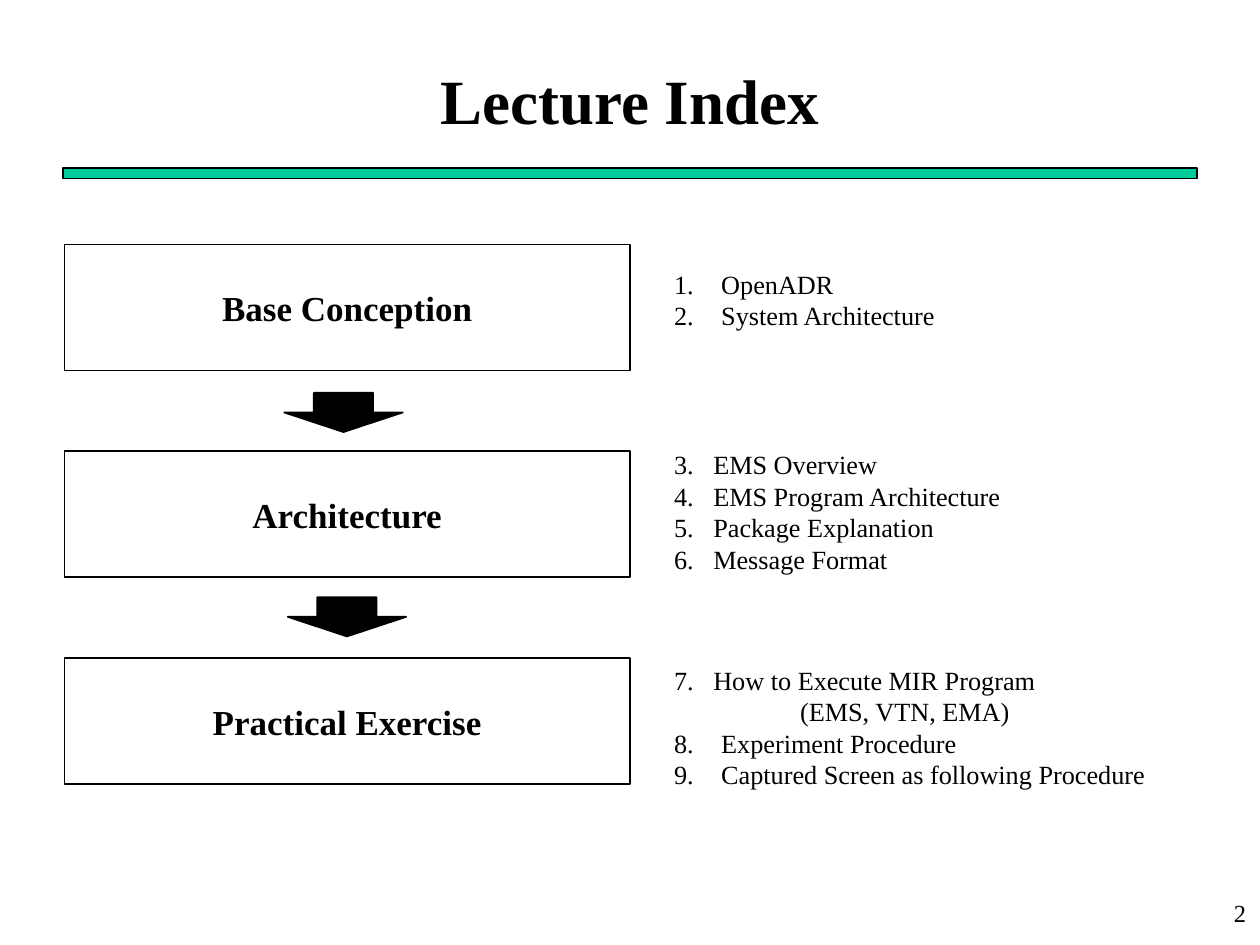
from lxml.etree import SubElement
from pptx import Presentation
from pptx.dml.color import RGBColor
from pptx.enum.shapes import MSO_SHAPE as SHAPE
from pptx.enum.text import MSO_ANCHOR as ANCHOR, PP_ALIGN as ALIGN
from pptx.oxml.ns import qn
from pptx.util import Cm, Pt

FONT = "Times New Roman"
BLACK, GREEN = "000000", "00CC99"
WIDE, TIGHT, SUB = 0.95, 0.79, 2.54  # text indents in cm

# Stage name, top of its list in cm, and (number, text, indent) lines
STAGES = [
    ("Base Conception", 5.28, [
        (1, "OpenADR", WIDE),
        (2, "System Architecture", WIDE),
    ]),
    ("Architecture", 8.92, [
        (3, "EMS Overview", TIGHT),
        (4, "EMS Program Architecture", TIGHT),
        (5, "Package Explanation", TIGHT),
        (6, "Message Format", TIGHT),
    ]),
    ("Practical Exercise", 13.26, [
        (7, "How to Execute MIR Program", TIGHT),
        (None, "(EMS, VTN, EMA)", SUB),
        (8, "Experiment Procedure", WIDE),
        (9, "Captured Screen as following Procedure", WIDE),
    ]),
]
ARROWS = [(5.73, 7.92), (5.8, 12.04)]

BOX_LEFT, BOX_TOP, BOX_W, BOX_H, BOX_STEP = 1.3, 4.93, 11.4, 2.54, 4.17
LIST_LEFT, LIST_W = 13.34, 11.4


def rgb(hex_code):
    return RGBColor.from_string(hex_code)


def add_run(p, text, size, bold=False):
    r = p.add_run()
    r.text = text
    r.font.name, r.font.size, r.font.bold = FONT, Pt(size), bold
    r.font.color.rgb = rgb(BLACK)


def add_block(s, kind, x, y, w, h, fill=None, line=1):
    sp = s.shapes.add_shape(kind, Cm(x), Cm(y), Cm(w), Cm(h))
    sp.shadow.inherit = False
    if fill:
        sp.fill.solid()
        sp.fill.fore_color.rgb = rgb(fill)
    else:
        sp.fill.background()
    sp.line.color.rgb = rgb(BLACK)
    sp.line.width = Pt(line)
    return sp


def add_text_frame(s, x, y, w, h):
    tf = s.shapes.add_textbox(Cm(x), Cm(y), Cm(w), Cm(h)).text_frame
    tf.word_wrap = True
    return tf


def set_indent(p, indent, number, start):
    """Indent a paragraph, hanging its automatic number if it has one."""
    pPr = p._p.get_or_add_pPr()
    pPr.set("marL", str(Cm(indent)))
    pPr.set("indent", str(-Cm(indent) if number else 0))
    if number:
        SubElement(pPr, qn("a:buFont"), typeface=FONT)
        SubElement(pPr, qn("a:buAutoNum"), type="arabicPeriod", startAt=str(start))


def add_list(s, top, lines):
    tf = add_text_frame(s, LIST_LEFT, top, LIST_W, 0.25 + 0.64 * len(lines))
    start = None
    for i, (number, text, indent) in enumerate(lines):
        p = tf.paragraphs[0] if i == 0 else tf.add_paragraph()
        p.line_spacing = Pt(18)
        start = (start or number) if number else None
        set_indent(p, indent, number, start)
        add_run(p, text, 15)


prs = Presentation()
prs.slide_width, prs.slide_height = Cm(25.4), Cm(19.05)
s = prs.slides.add_slide(prs.slide_layouts[5])

title = s.shapes.title
title.left, title.top, title.width, title.height = Cm(1.27), Cm(0.84), Cm(22.86), Cm(2.34)
tf = title.text_frame
tf.vertical_anchor = ANCHOR.MIDDLE
tf.paragraphs[0].alignment = ALIGN.CENTER
add_run(tf.paragraphs[0], "Lecture Index", 36, bold=True)

add_block(s, SHAPE.RECTANGLE, 1.27, 3.39, 22.86, 0.21, GREEN, 0.75)

for i, (name, list_top, lines) in enumerate(STAGES):
    box = add_block(s, SHAPE.RECTANGLE, BOX_LEFT, BOX_TOP + i * BOX_STEP, BOX_W, BOX_H)
    tf = box.text_frame
    tf.vertical_anchor = ANCHOR.MIDDLE
    tf.paragraphs[0].alignment = ALIGN.CENTER
    add_run(tf.paragraphs[0], name, 20, bold=True)
    add_list(s, list_top, lines)

for x, y in ARROWS:
    add_block(s, SHAPE.DOWN_ARROW, x, y, 2.39, 0.79, BLACK)

p = add_text_frame(s, 20.09, 17.98, 5.28, 1.07).paragraphs[0]
p.alignment = ALIGN.RIGHT
add_run(p, "2", 14)

prs.save("out.pptx")
